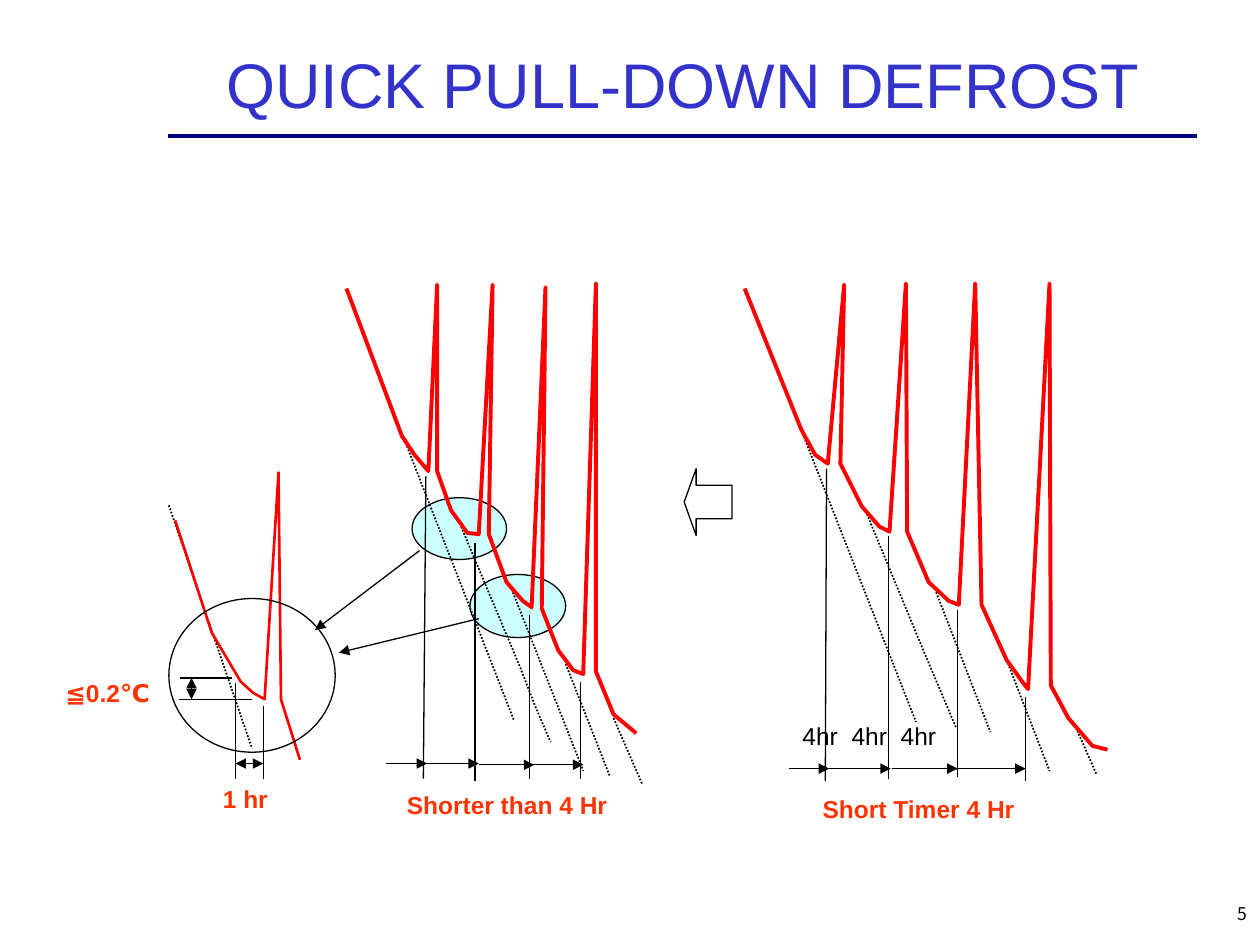
from lxml import etree
from pptx import Presentation
from pptx import util as u
from pptx.dml import color
from pptx.enum import dml, shapes, text
from pptx.oxml import ns

EMU_PER_PX = 9144
BLACK, RED, ORANGE, CYAN = "000000", "FF0000", "FF3300", "CCFFFF"

HIGHLIGHTS = [(373, 456, 76, 50), (327, 395, 75, 49)]

SHORTER_CURVE = [
    (275, 229), (319, 346), (329, 361), (340, 374), (347, 226), (347, 374),
    (358, 405), (371, 423), (380, 424), (391, 226), (388, 424), (402, 462),
    (415, 477), (422, 482), (433, 228), (430, 483), (443, 516), (455, 532),
    (463, 535), (463, 532), (473, 225), (473, 533), (487, 567), (505, 582),
]
TIMER_CURVE = [
    (591, 229), (636, 341), (647, 361), (657, 368), (670, 226), (667, 368),
    (684, 402), (698, 418), (706, 422), (719, 225), (720, 422), (737, 462),
    (753, 477), (761, 480), (774, 225), (779, 480), (799, 524), (812, 542),
    (816, 547), (833, 225), (834, 544), (848, 570), (867, 592), (879, 595),
]
DETAIL_CURVE = [
    (139, 413), (168, 502), (191, 541), (201, 550), (210, 555),
    (221, 375), (223, 555), (238, 603),
]

SHORTER_SLOPES = [
    [(319, 344), (408, 572)],
    [(366, 418), (413, 530), (425, 561), (437, 589)],
    [(405, 465), (463, 612)],
    [(449, 527), (484, 616)],
    [(487, 570), (510, 623)],
]
TIMER_SLOPES = [
    [(637, 344), (727, 573)],
    [(688, 408), (734, 519), (759, 578)],
    [(743, 470), (786, 581)],
    [(794, 511), (833, 612)],
    [(855, 580), (870, 614)],
]
DETAIL_SLOPES = [[(134, 401), (200, 594)]]

SHORTER_MARKS = [(338, 378, 336, 618), (377, 431, 377, 620),
                 (420, 488, 420, 618), (461, 541, 461, 618)]
TIMER_MARKS = [(656, 372, 655, 620), (705, 425, 705, 618),
               (760, 484, 760, 617), (814, 553, 814, 620)]
DETAIL_MARKS = [(209, 560, 209, 618), (187, 542, 187, 618),
                (200, 555, 142, 555), (184, 538, 143, 538)]

SHORTER_SPANS = [(306, 606, 339, 606), (338, 606, 380, 606),
                 (380, 607, 424, 607), (423, 607, 463, 607)]
TIMER_SPANS = [(626, 610, 658, 610), (658, 610, 707, 610),
               (708, 610, 760, 610), (760, 610, 814, 610)]
DETAIL_SPANS = [(152, 538, 152, 555), (187, 606, 209, 606)]
CALLOUTS = [(333, 437, 250, 500), (380, 491, 269, 518)]


def px(*lengths):
    return [u.Emu(length * EMU_PER_PX) for length in lengths]


def rgb(value):
    return color.RGBColor.from_string(value)


def style_line(shape, width, tint=BLACK, dotted=False):
    shape.line.color.rgb = rgb(tint)
    shape.line.width = u.Pt(width)
    if dotted:
        shape.line.dash_style = dml.MSO_LINE.ROUND_DOT


def add_line(slide, ends, width=0.75, tint=BLACK, dotted=False, arrows=()):
    line = slide.shapes.add_connector(shapes.MSO_CONNECTOR.STRAIGHT, *px(*ends))
    style_line(line, width, tint, dotted)
    outline = line.element.spPr.find(ns.qn("a:ln"))
    for arrow in arrows:
        etree.SubElement(outline, ns.qn(f"a:{arrow}"), type="triangle")
    etree.SubElement(line.element.spPr, ns.qn("a:effectLst"))


def add_trace(slide, points, width, tint=BLACK, dotted=False):
    builder = slide.shapes.build_freeform(*points[0], scale=EMU_PER_PX)
    builder.add_line_segments(points[1:], close=False)
    trace = builder.convert_to_shape()
    trace.shadow.inherit = False
    trace.fill.background()
    style_line(trace, width, tint, dotted)


def add_outline(slide, kind, frame, fill=None):
    shape = slide.shapes.add_shape(kind, *px(*frame))
    shape.shadow.inherit = False
    if fill:
        shape.fill.solid()
        shape.fill.fore_color.rgb = rgb(fill)
    else:
        shape.fill.background()
    style_line(shape, 0.75)
    return shape


def set_font(para, name, size, tint, bold=False):
    para.font.name = name
    para.font.size = u.Pt(size)
    para.font.color.rgb = rgb(tint)
    para.font.bold = bold


def add_label(slide, words, frame, tint=ORANGE, bold=True, size=14,
              font="Arial", tabs=()):
    box = slide.shapes.add_textbox(*px(*frame))
    box.text_frame.word_wrap = True
    para = box.text_frame.paragraphs[0]
    para.text = words
    if tabs:
        stops = etree.SubElement(para._p.get_or_add_pPr(), ns.qn("a:tabLst"))
        for stop in px(*tabs):
            etree.SubElement(stops, ns.qn("a:tab"), pos=str(stop), algn="l")
    set_font(para, font, size, tint, bold)
    return box


def add_title(slide, words):
    title = slide.shapes.title
    title.left, title.top, title.width, title.height = px(167, 25, 750, 83)
    frame = title.text_frame
    frame.text = words
    frame.auto_size = text.MSO_AUTO_SIZE.NONE
    frame.vertical_anchor = text.MSO_ANCHOR.MIDDLE
    para = frame.paragraphs[0]
    para.alignment = text.PP_ALIGN.CENTER
    set_font(para, "Arial", 36, "3333CC")


def add_page_number(slide, number):
    box = add_label(slide, number, (792, 700, 208, 50), BLACK, False, 10,
                    "Noto Sans CJK JP")
    box.text_frame.vertical_anchor = text.MSO_ANCHOR.MIDDLE
    box.text_frame.paragraphs[0].alignment = text.PP_ALIGN.RIGHT


def add_graph(slide, curve, weight, slopes, marks, spans, arrows):
    for ends in marks:
        add_line(slide, ends)
    for points in slopes:
        if len(points) == 2:
            add_line(slide, points[0] + points[1], 1, dotted=True)
        else:
            add_trace(slide, points, 1, dotted=True)
    add_trace(slide, curve, weight, RED)
    for ends in spans:
        add_line(slide, ends, arrows=arrows)


def main():
    deck = Presentation()
    deck.slide_width, deck.slide_height = px(1000, 750)
    slide = deck.slides.add_slide(deck.slide_layouts[5])
    add_title(slide, "QUICK PULL-DOWN DEFROST")
    add_line(slide, (133, 108, 950, 108), 2.5, "000080")

    oval = shapes.MSO_SHAPE.OVAL
    for frame in HIGHLIGHTS:
        add_outline(slide, oval, frame, CYAN)

    add_graph(slide, SHORTER_CURVE, 2.25, SHORTER_SLOPES, SHORTER_MARKS,
              SHORTER_SPANS, ["tailEnd"])
    add_label(slide, "Shorter than 4 Hr", (313, 622, 189, 40))
    arrow = add_outline(slide, shapes.MSO_SHAPE.LEFT_ARROW, (543, 372, 38, 53))
    arrow.adjustments[1] = 0.25

    add_graph(slide, TIMER_CURVE, 2.25, TIMER_SLOPES, TIMER_MARKS,
              TIMER_SPANS, ["tailEnd"])
    add_label(slide, "Short Timer 4 Hr", (643, 625, 219, 40))
    add_label(slide, "4hr\t4hr\t4hr", (627, 567, 229, 36), BLACK, False,
              tabs=(39, 78))

    for ends in CALLOUTS:
        add_line(slide, ends, arrows=["tailEnd"])
    add_graph(slide, DETAIL_CURVE, 1.5, DETAIL_SLOPES, DETAIL_MARKS,
              DETAIL_SPANS, ["headEnd", "tailEnd"])
    add_outline(slide, oval, (134, 475, 132, 122))
    add_label(slide, "1 hr", (167, 617, 91, 40))
    add_label(slide, "≦0.2℃", (42, 533, 98, 39))
    add_page_number(slide, "5")
    deck.save("out.pptx")


if __name__ == "__main__":
    main()
